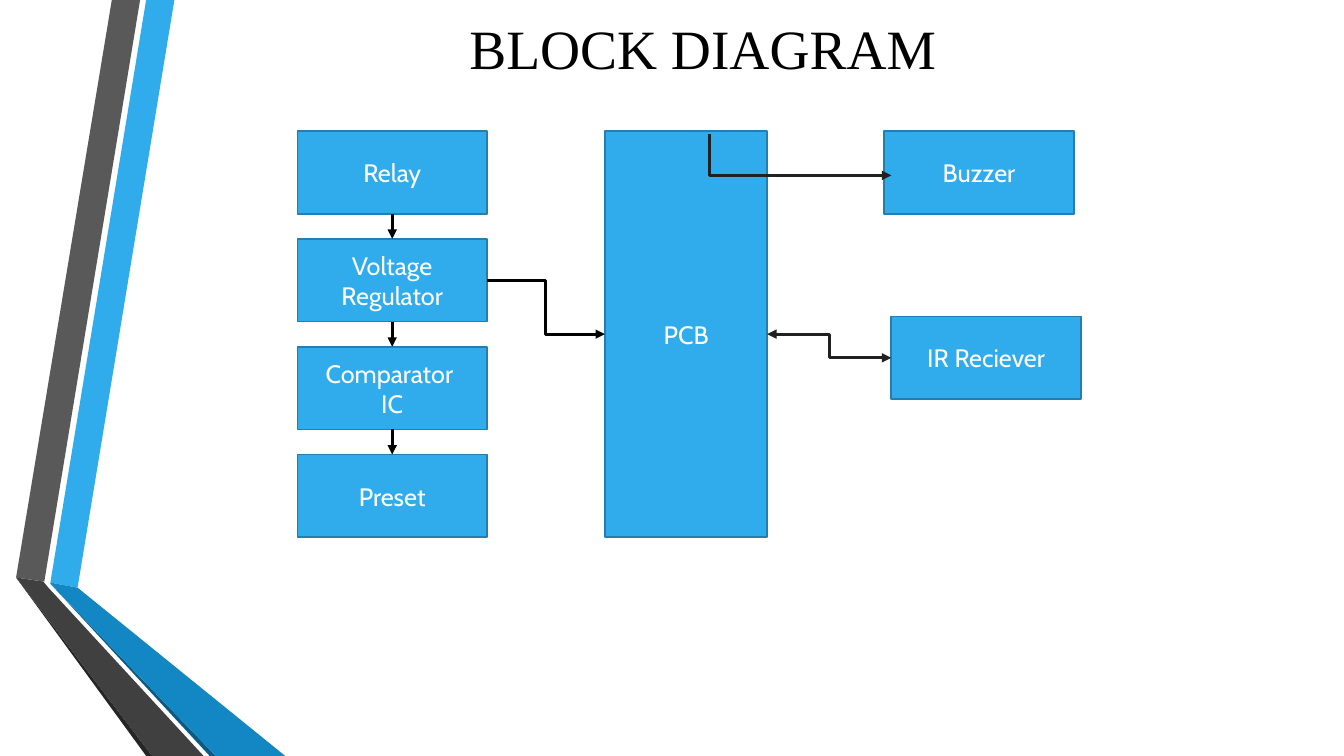
from lxml import etree
from pptx import Presentation
from pptx.dml.color import RGBColor
from pptx.enum import shapes, text
from pptx.oxml.ns import qn
from pptx.util import Inches, Pt

COLORS = {
    "blue": "30ACEC", "blue_shade": "1287C3", "blue_edge": "0C5A82",
    "gray": "595959", "gray_shade": "404040", "gray_edge": "262626",
    "outline": "247FAF", "white": "FFFFFF", "black": "000000", "dark": "212121",
}
RIBBONS = [
    ("blue", [(0.5, 5.78), (0.77, 5.83), (1.73, 0), (1.45, 0)]),
    ("gray", [(1.39, 0), (1.11, 0), (0.16, 5.73), (0.44, 5.77)]),
    ("gray_edge", [(0.16, 5.73), (1.45, 7.5), (1.51, 7.5)]),
    ("blue_edge", [(0.5, 5.79), (2.08, 7.5), (2.14, 7.5)]),
    ("blue_shade", [(0.5, 5.79), (2.14, 7.5), (2.83, 7.5), (0.77, 5.83), (0.5, 5.78)]),
    ("gray_shade", [(2.02, 7.5), (0.48, 5.83), (0.43, 5.77), (0.16, 5.73), (1.51, 7.5)]),
]
BLOCK_WIDTH, BLOCK_HEIGHT, BLOCK_PITCH = 1.88, 0.82, 1.07
TOP, LEFT, BOTTOM, RIGHT = range(4)
STRAIGHT = shapes.MSO_CONNECTOR.STRAIGHT
ELBOW = shapes.MSO_CONNECTOR.ELBOW


def color(name):
    return RGBColor.from_string(COLORS[name])


def write(frame, lines, font, size, color_name):
    """Fill a text frame with one centred paragraph per line."""
    frame.word_wrap = True
    for index, line in enumerate(lines):
        paragraph = frame.paragraphs[0] if index == 0 else frame.add_paragraph()
        paragraph.alignment = text.PP_ALIGN.CENTER
        run = paragraph.add_run()
        run.text = line
        run.font.name = font
        run.font.size = Pt(size)
        run.font.color.rgb = color(color_name)


def add_ribbons(slide, left, top):
    for name, points in RIBBONS:
        corners = [(Inches(left + x), Inches(top + y)) for x, y in points]
        builder = slide.shapes.build_freeform(*corners[0])
        builder.add_line_segments(corners[1:], close=True)
        shape = builder.convert_to_shape()
        shape.shadow.inherit = False
        shape.fill.solid()
        shape.fill.fore_color.rgb = color(name)
        shape.line.fill.background()


def add_title(slide, left, top, width, height):
    box = slide.shapes.add_textbox(*map(Inches, (left, top, width, height)))
    box.text_frame.margin_top = 0
    write(box.text_frame, ["BLOCK DIAGRAM"], "Times New Roman", 39.6, "black")


def add_block(slide, lines, left, top, width=BLOCK_WIDTH, height=BLOCK_HEIGHT):
    shape = slide.shapes.add_shape(
        shapes.MSO_SHAPE.RECTANGLE, *map(Inches, (left, top, width, height)))
    shape.shadow.inherit = False
    shape.fill.solid()
    shape.fill.fore_color.rgb = color("blue")
    shape.line.color.rgb = color("outline")
    shape.line.width = Pt(1.25)
    shape.text_frame.vertical_anchor = text.MSO_ANCHOR.MIDDLE
    write(shape.text_frame, lines, "Cabin", 18, "white")
    return shape


def add_arrow(slide, kind, color_name, ends=("tailEnd",), points=(0, 0, 0, 0)):
    connector = slide.shapes.add_connector(kind, *map(Inches, points))
    connector.line.color.rgb = color(color_name)
    connector.line.width = Pt(2.25)
    line = connector.line._get_or_add_ln()
    for end in ends:
        etree.SubElement(line, qn("a:" + end), type="triangle")
    etree.SubElement(connector._element.spPr, qn("a:effectLst"))
    return connector


def join(slide, kind, start, start_side, finish, finish_side, color_name="black",
         ends=("tailEnd",)):
    connector = add_arrow(slide, kind, color_name, ends)
    connector.begin_connect(start, start_side)
    connector.end_connect(finish, finish_side)


def add_corner_arrow(slide, x, y, end_x, end_y):
    """Arrow that runs down from (x, y), then right to (end_x, end_y)."""
    across, down = end_x - x, end_y - y
    middle_x, middle_y = (x + end_x) / 2, (y + end_y) / 2
    # The frame is turned by 270 degrees, so its width is the drop.
    connector = add_arrow(slide, ELBOW, "dark", points=(
        middle_x + down / 2, middle_y - across / 2,
        middle_x - down / 2, middle_y + across / 2))
    properties = connector._element.spPr
    properties.find(qn("a:xfrm")).set("rot", "16200000")
    properties.find(qn("a:prstGeom")).set("prst", "bentConnector2")


def add_diagram(slide, left, top):
    labels = [["Relay"], ["Voltage", "Regulator"], ["Comparator ", "IC"], ["Preset"]]
    chain = [add_block(slide, lines, left, top + row * BLOCK_PITCH)
             for row, lines in enumerate(labels)]
    board = add_block(slide, ["PCB"], left + 3.05, top, 1.61, 4.03)
    add_block(slide, ["Buzzer"], left + 5.82, top)
    receiver = add_block(slide, ["IR Reciever"], left + 5.89, top + 1.84)

    for upper, lower in zip(chain, chain[1:]):
        join(slide, STRAIGHT, upper, BOTTOM, lower, TOP)
    join(slide, ELBOW, chain[1], RIGHT, board, LEFT)
    add_corner_arrow(slide, left + 4.09, top + 0.03, left + 5.89, top + 0.44)
    join(slide, ELBOW, receiver, LEFT, board, RIGHT, "dark", ("headEnd", "tailEnd"))


def main():
    presentation = Presentation()
    presentation.slide_width = Inches(13.33)
    presentation.slide_height = Inches(7.5)
    slide = presentation.slides.add_slide(presentation.slide_layouts[6])
    add_ribbons(slide, 0, 0)
    add_title(slide, 1.49, 0.14, 10.96, 1.16)
    add_diagram(slide, 2.95, 1.3)
    presentation.save("out.pptx")


if __name__ == "__main__":
    main()
